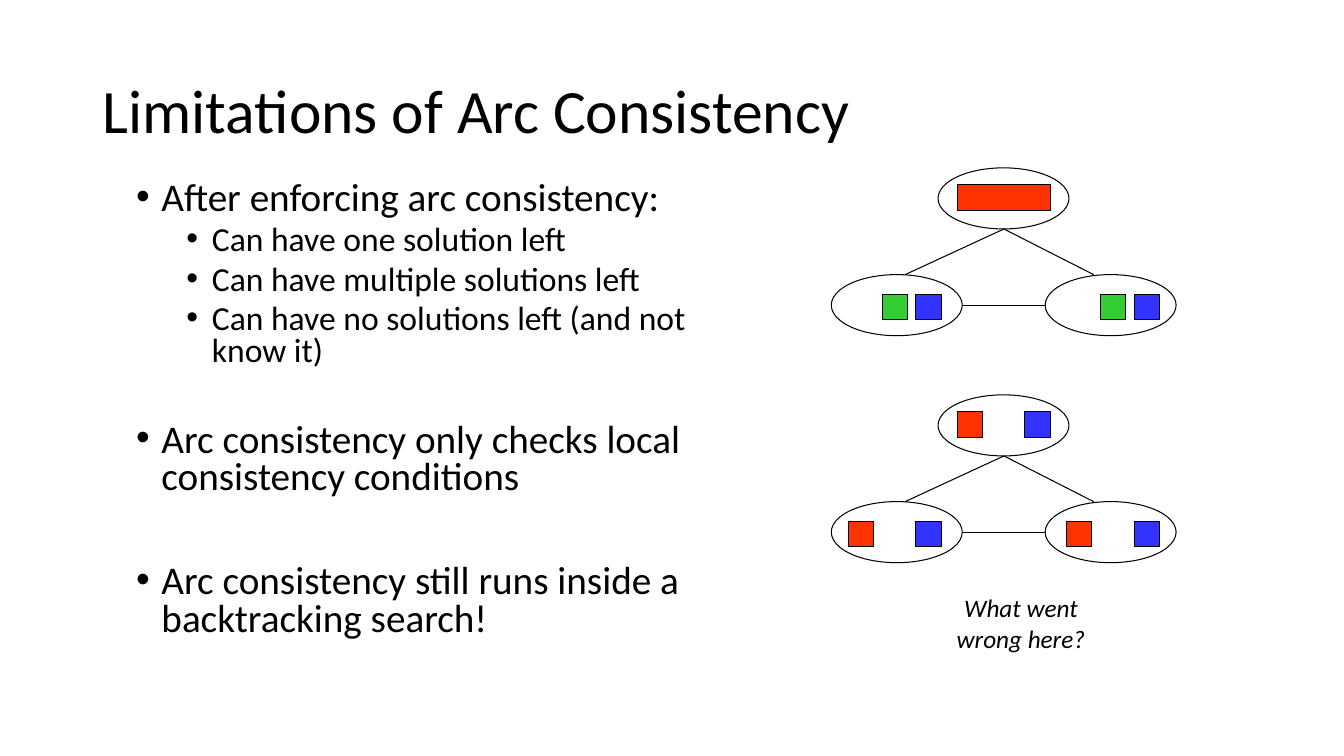
"""Build a slide on the limitations of arc consistency."""
from lxml.etree import SubElement
from pptx import Presentation
from pptx.dml.color import RGBColor
from pptx.enum.shapes import MSO_CONNECTOR, MSO_SHAPE
from pptx.enum.text import MSO_ANCHOR, PP_ALIGN
from pptx.oxml.ns import qn
from pptx.util import Cm, Pt

BLACK, RED, GREEN, BLUE = "000000", "FF3300", "33CC33", "3333FF"
SLOTS = {RED: 0, GREEN: 1, BLUE: 2}
SLOT_STEP, SQUARE = 0.85, 0.64
OVAL_WIDTH, OVAL_HEIGHT = 3.3, 1.54
GRAPH_LEFT = 20.95
OVALS = [(2.69, 0), (5.39, 2.69), (0, 2.69)]
EDGES = [
    (4.35, 1.54, 1.86, 2.69),
    (4.35, 1.54, 6.61, 2.69),
    (3.3, 3.46, 5.39, 3.46),
]
DOMAIN_STARTS = [(3.18, 0.43), (5.93, 3.18), (0.43, 3.18)]
POINTS = [
    ("After enforcing arc consistency:", 0, 10),
    ("Can have one solution left", 1, 5),
    ("Can have multiple solutions left", 1, 5),
    ("Can have no solutions left (and not know it)", 1, 5),
    ("Arc consistency only checks local consistency conditions", 0, 38.4),
    ("Arc consistency still runs inside a backtracking search!", 0, 47.3),
]


def color(value):
    return RGBColor.from_string(value)


def add_text_frame(slide, left, top, width, height):
    box = slide.shapes.add_textbox(Cm(left), Cm(top), Cm(width), Cm(height))
    box.text_frame.word_wrap = True
    return box.text_frame


def write(paragraph, text, size):
    paragraph.text = text
    paragraph.font.name = "Calibri"
    paragraph.font.size = Pt(size)
    paragraph.font.color.rgb = color(BLACK)


def add_bullet(paragraph, level):
    paragraph.level = level
    properties = paragraph._p.get_or_add_pPr()
    properties.set("marL", str(Cm(0.64 + 1.27 * level)))
    properties.set("indent", str(-Cm(0.64)))
    SubElement(properties, qn("a:buFont")).set("typeface", "Arial")
    SubElement(properties, qn("a:buChar")).set("char", "•")


def add_title(slide, text):
    frame = add_text_frame(slide, 2.34, 1.02, 29.21, 3.68)
    frame.vertical_anchor = MSO_ANCHOR.MIDDLE
    paragraph = frame.paragraphs[0]
    write(paragraph, text, 44)
    paragraph.line_spacing = 0.9


def add_points(slide):
    frame = add_text_frame(slide, 3.18, 4.45, 15.44, 12.57)
    for index, (text, level, space) in enumerate(POINTS):
        paragraph = frame.add_paragraph() if index else frame.paragraphs[0]
        write(paragraph, text, 28 - 4 * level)
        paragraph.line_spacing = 0.8
        paragraph.space_before = Pt(space)
        add_bullet(paragraph, level)


def add_caption(slide, text):
    paragraph = add_text_frame(slide, 23.29, 14.81, 4.88, 1.8).paragraphs[0]
    write(paragraph, text, 18)
    paragraph.font.italic = True
    paragraph.alignment = PP_ALIGN.CENTER


def add_outlined(shapes, kind, left, top, width, height, fill=None):
    shape = shapes.add_shape(kind, Cm(left), Cm(top), Cm(width), Cm(height))
    shape.shadow.inherit = False
    if fill:
        shape.fill.solid()
        shape.fill.fore_color.rgb = color(fill)
    else:
        shape.fill.background()
    shape.line.color.rgb = color(BLACK)
    shape.line.width = Pt(0.75)


def add_edge(shapes, start_x, start_y, end_x, end_y):
    edge = shapes.add_connector(
        MSO_CONNECTOR.STRAIGHT, Cm(start_x), Cm(start_y), Cm(end_x), Cm(end_y)
    )
    edge.line.color.rgb = color(BLACK)
    edge.line.width = Pt(0.75)
    SubElement(edge._element.spPr, qn("a:effectLst"))


def add_graph(slide, top, domains, span=1):
    """Draw three linked variables; the first one's values cover span slots."""
    group = slide.shapes.add_group_shape()
    for x, y in OVALS:
        add_outlined(group.shapes, MSO_SHAPE.OVAL, GRAPH_LEFT + x, top + y,
                     OVAL_WIDTH, OVAL_HEIGHT)
    for x1, y1, x2, y2 in EDGES:
        add_edge(group.shapes, GRAPH_LEFT + x1, top + y1, GRAPH_LEFT + x2, top + y2)
    widths = [SQUARE + (span - 1) * SLOT_STEP, SQUARE, SQUARE]
    for (x, y), values, width in zip(DOMAIN_STARTS, domains, widths):
        for value in values:
            left = GRAPH_LEFT + x + SLOTS[value] * SLOT_STEP
            add_outlined(slide.shapes, MSO_SHAPE.RECTANGLE, left, top + y,
                         width, SQUARE, value)


def main():
    presentation = Presentation()
    presentation.slide_width = Cm(33.87)
    presentation.slide_height = Cm(19.05)
    slide = presentation.slides.add_slide(presentation.slide_layouts[6])
    add_title(slide, "Limitations of Arc Consistency")
    add_points(slide)
    add_graph(slide, 4.23, [[RED], [GREEN, BLUE], [GREEN, BLUE]], span=3)
    add_graph(slide, 9.95, [[RED, BLUE]] * 3)
    add_caption(slide, "What went wrong here?")
    presentation.save("out.pptx")


if __name__ == "__main__":
    main()
